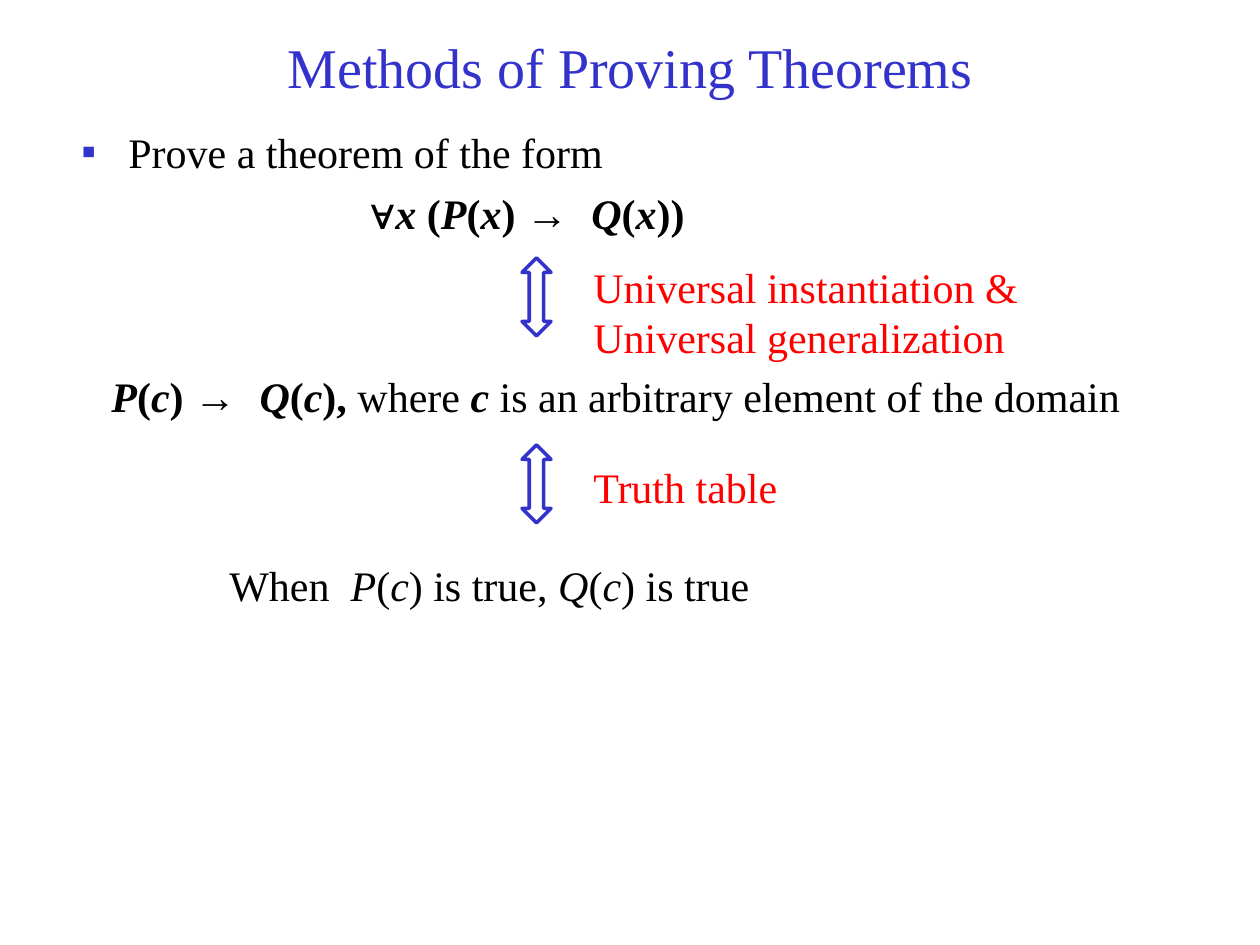
"""Build the slide on methods of proving theorems."""
from lxml import etree
from pptx import Presentation, util as u
from pptx.dml.color import RGBColor
from pptx.enum import shapes, text
from pptx.oxml.ns import qn

BLUE, RED, BLACK = "3333CC", "FF0000", "000000"


def px(*lengths):
    return [u.Emu(round(length * 914400 / 126)) for length in lengths]


def write(para, spans, color, size=24):
    """Add (text, style) spans: b is bold, i is italic, a is Arial."""
    for words, style in spans:
        span = para.add_run()
        span.text = words
        span.font.name = "Arial" if "a" in style else "Times New Roman"
        span.font.size = u.Pt(size)
        span.font.bold = "b" in style
        span.font.italic = "i" in style
        span.font.color.rgb = RGBColor.from_string(color)


deck = Presentation()
deck.slide_width, deck.slide_height = px(1260, 945)
page = deck.slides.add_slide(deck.slide_layouts[5])

title = page.shapes.title
title.left, title.top, title.width, title.height = px(95, 16, 1071, 100)
title.text_frame.vertical_anchor = text.MSO_ANCHOR.MIDDLE
heading = title.text_frame.paragraphs[0]
heading.alignment = text.PP_ALIGN.CENTER
write(heading, [("Methods of Proving Theorems", "")], BLUE, 32)

statements = [
    (47, 0, [("Prove a theorem of the form", "")]),
    (289, 6, [("∀", "ab"), ("x", "bi"), (" (", "b"), ("P", "bi"), ("(", "b"),
              ("x", "bi"), (") ", "b"), ("→  ", "ab"), ("Q", "bi"),
              ("(", "b"), ("x", "bi"), ("))", "b")]),
    (30, 76, [("P", "bi"), ("(", "b"), ("c", "bi"), (") ", "b"),
              ("→  ", "ab"), ("Q", "bi"), ("(", "b"), ("c", "bi"),
              ("), ", "b"), ("where ", ""), ("c", "bi"),
              (" is an arbitrary element of the domain", "")]),
]
body = page.shapes.add_textbox(*px(69, 120, 1087, 571)).text_frame
body.word_wrap = True
for number, (indent, gap, spans) in enumerate(statements):
    para = body.add_paragraph() if number else body.paragraphs[0]
    para.space_before = u.Pt(gap)
    margin = para._p.get_or_add_pPr()
    margin.set("marL", str(px(indent)[0]))
    if number == 0:
        margin.set("indent", str(-px(indent)[0]))
        bullet_color = etree.SubElement(margin, qn("a:buClr"))
        etree.SubElement(bullet_color, qn("a:srgbClr"), val=BLUE)
        etree.SubElement(margin, qn("a:buFont"), typeface="Arial")
        etree.SubElement(margin, qn("a:buChar"), char="▪")
    write(para, spans, BLACK)

for top in (258, 445):
    arrow = page.shapes.add_shape(shapes.MSO_SHAPE.UP_DOWN_ARROW,
                                  *px(522, top, 29, 78))
    arrow.adjustments[0] = arrow.adjustments[1] = 0.5
    arrow.shadow.inherit = False
    arrow.fill.background()
    arrow.line.color.rgb = RGBColor.from_string(BLUE)
    arrow.line.width = u.Pt(2)

notes = [
    ((581, 255, 505, 113), RED,
     [("Universal instantiation & Universal generalization", "")]),
    ((217, 553, 630, 63), BLACK,
     [("When  ", ""), ("P", "i"), ("(", ""), ("c", "i"), (") is true, ", ""),
      ("Q", "i"), ("(", ""), ("c", "i"), (") is true", "")]),
    ((581, 455, 413, 63), RED, [("Truth table", "")]),
]
for place, color, spans in notes:
    box = page.shapes.add_textbox(*px(*place))
    box.text_frame.word_wrap = True
    write(box.text_frame.paragraphs[0], spans, color)

deck.save("out.pptx")
